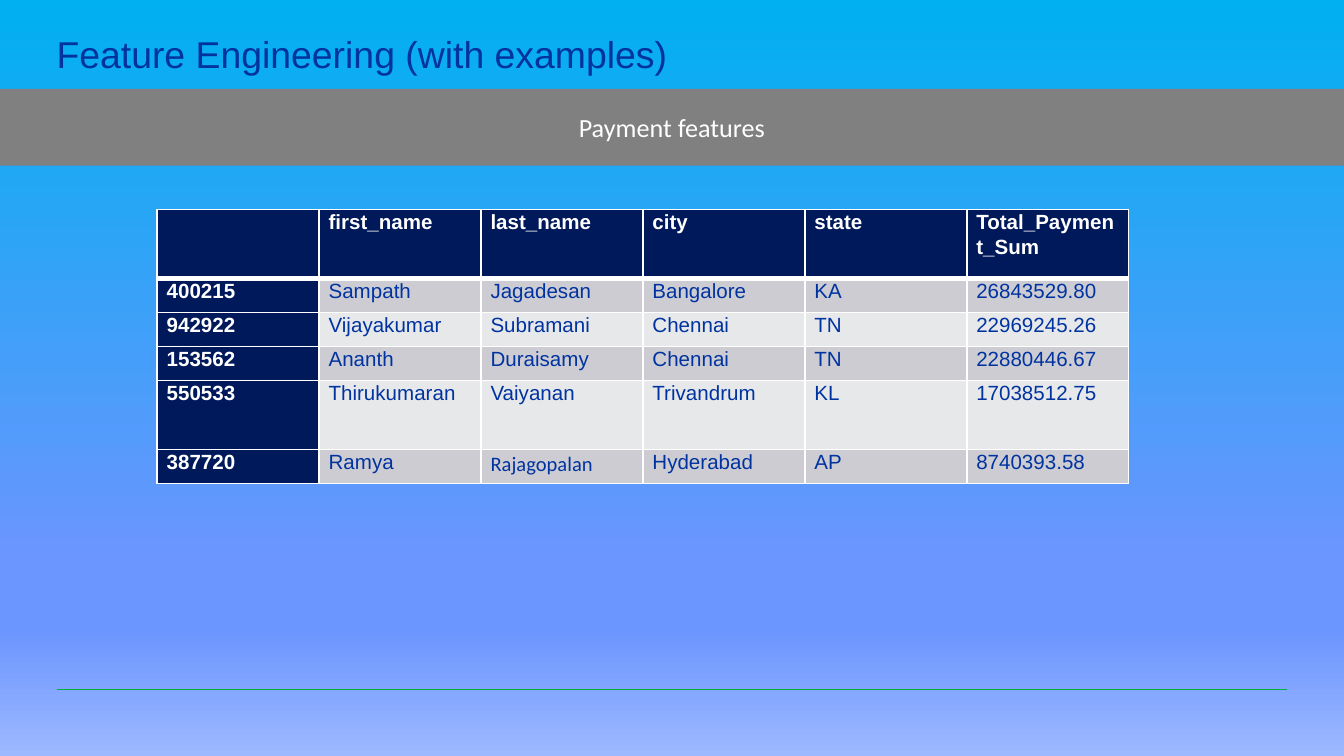
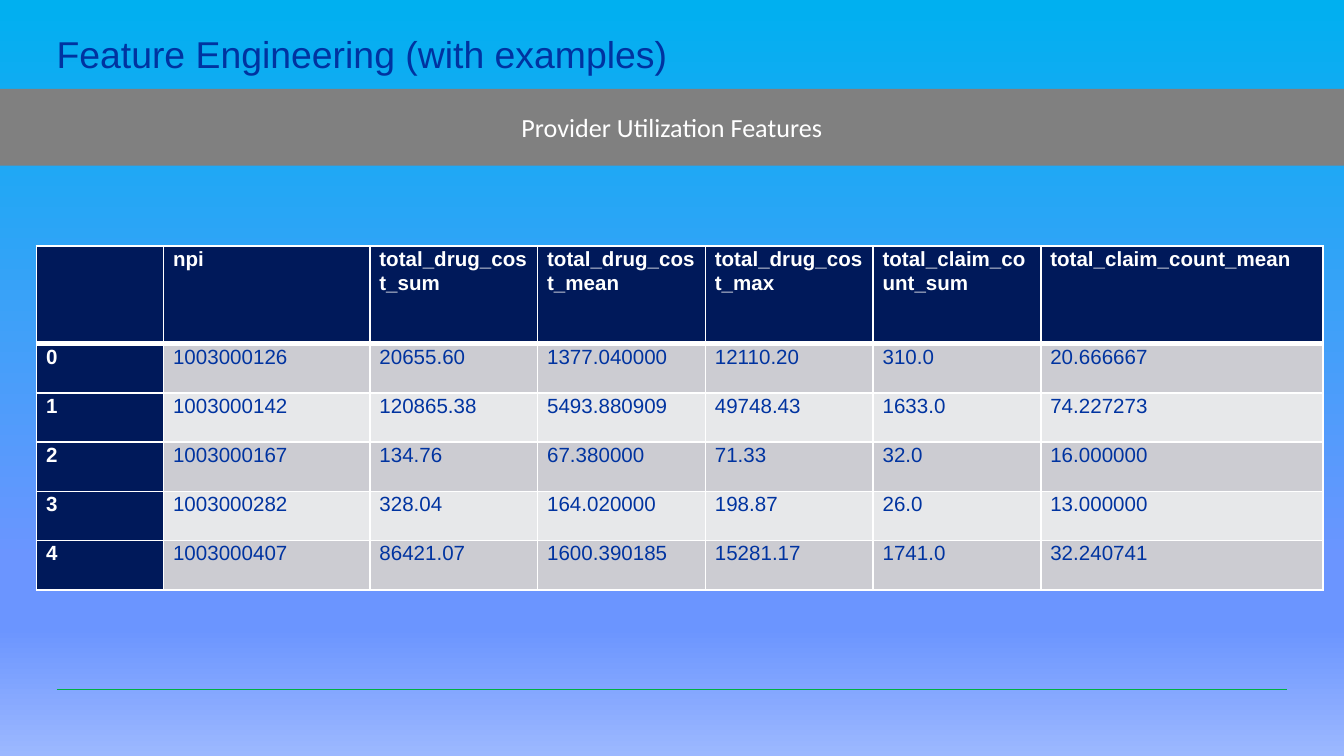
from lxml.etree import SubElement as Sub
from pptx import Presentation
from pptx.dml.color import RGBColor
from pptx.enum.shapes import MSO_CONNECTOR as Link, MSO_SHAPE as Form
from pptx.enum.text import MSO_ANCHOR as Anchor, MSO_AUTO_SIZE as Auto, PP_ALIGN as Align
from pptx.oxml.ns import qn
from pptx.util import Cm, Pt

WIDE, HIGH = 25.4, 14.29
EDGE = 1.07
WHITE, BLUE, NAVY = "FFFFFF", "0033A0", "00195A"
GREY, GREEN = "808080", "00B140"
BANDS = ("CCCCD2", "E7E8EA")
SKY = ((0, "00B0F0"), (74, "6B95FF"), (83, "6B95FF"), (100, "9CB8FF"))

TITLE = dict(name="Arial", size=Pt(20), bold=False)
LABEL = dict(name="Calibri", size=Pt(14), bold=False)
HEAD = dict(name="Arial", size=Pt(11), bold=True)
BODY = dict(HEAD, bold=False)

BARE = dict(margin_left=0, margin_top=0, margin_right=0, margin_bottom=0)
CELL = dict(BARE, margin_left=Cm(0.18), margin_right=Cm(0.18))

PAYMENTS = (
    ("", "first_name", "last_name", "city", "state", "Total_Payment_Sum"),
    ("400215", "Sampath", "Jagadesan", "Bangalore", "KA", "26843529.80"),
    ("942922", "Vijayakumar", "Subramani", "Chennai", "TN", "22969245.26"),
    ("153562", "Ananth", "Duraisamy", "Chennai", "TN", "22880446.67"),
    ("550533", "Thirukumaran", "Vaiyanan", "Trivandrum", "KL", "17038512.75"),
    ("387720", "Ramya", "Rajagopalan", "Hyderabad", "AP", "8740393.58"),
)
USAGE = (
    ("", "npi", "total_drug_cost_sum", "total_drug_cost_mean",
     "total_drug_cost_max", "total_claim_count_sum", "total_claim_count_mean"),
    ("0", "1003000126", "20655.60", "1377.040000", "12110.20", "310.0", "20.666667"),
    ("1", "1003000142", "120865.38", "5493.880909", "49748.43", "1633.0", "74.227273"),
    ("2", "1003000167", "134.76", "67.380000", "71.33", "32.0", "16.000000"),
    ("3", "1003000282", "328.04", "164.020000", "198.87", "26.0", "13.000000"),
    ("4", "1003000407", "86421.07", "1600.390185", "15281.17", "1741.0", "32.240741"),
)


def color(code):
    return RGBColor.from_string(code)


def apply(item, style):
    for key, value in style.items():
        setattr(item, key, value)


def paint(item, code):
    item.fill.solid()
    item.fill.fore_color.rgb = color(code)


def border(cell, sides):
    """Draw white cell edges; sides maps L, R, T, B to widths in points."""
    props = cell._tc.get_or_add_tcPr()
    for side, width in sides.items():
        line = Sub(props, qn(f"a:ln{side}"), w=str(Pt(width)))
        fill = Sub(line, qn("a:solidFill"))
        Sub(fill, qn("a:srgbClr"), val=WHITE)


class Deck:
    def __init__(self):
        self.prs = Presentation()
        apply(self.prs, dict(slide_width=Cm(WIDE), slide_height=Cm(HIGH)))
        self.slide = None

    def page(self, title, label):
        """Start a slide with the shared backdrop, rule, band and title."""
        self.slide = self.prs.slides.add_slide(self.prs.slide_layouts[6])
        self.sky()
        self.rule(13.03)
        self.band(label)
        self.title(title)

    def sky(self):
        fill = self.slide.background.fill
        fill.gradient()
        fill.gradient_angle = 270
        stops = next(self.slide.element.iter(qn("a:gsLst")))
        for old in list(stops):
            stops.remove(old)
        for pos, code in SKY:
            stop = Sub(stops, qn("a:gs"), pos=str(pos * 1000))
            Sub(stop, qn("a:srgbClr"), val=code)

    def rule(self, top):
        line = self.slide.shapes.add_connector(
            Link.STRAIGHT, Cm(EDGE), Cm(top), Cm(WIDE - EDGE), Cm(top))
        line.line.color.rgb = color(GREEN)
        line.line.width = Pt(0.5)
        Sub(line.element.spPr, qn("a:effectLst"))

    def band(self, text):
        band = self.slide.shapes.add_shape(
            Form.ROUNDED_RECTANGLE, 0, Cm(1.68), Cm(WIDE), Cm(1.45))
        band.adjustments[0] = 0
        band.shadow.inherit = False
        band.line.fill.background()
        paint(band, GREY)
        band.text_frame.vertical_anchor = Anchor.MIDDLE
        self.words(band.text_frame, text, LABEL, WHITE, alignment=Align.CENTER)

    def title(self, text):
        box = self.slide.shapes.add_textbox(
            Cm(EDGE), Cm(0.69), Cm(WIDE - 2 * EDGE), Cm(0.77))
        frame = box.text_frame
        apply(frame, dict(BARE, word_wrap=True, auto_size=Auto.SHAPE_TO_FIT_TEXT))
        self.words(frame, text, TITLE, BLUE, line_spacing=0.9)

    def words(self, frame, text, font, code, **layout):
        para = frame.paragraphs[0]
        apply(para, layout)
        run = para.add_run()
        run.text = text
        apply(run.font, font)
        run.font.color.rgb = color(code)

    def table(self, rows, left, top, widths, heights, fonts=None):
        """Add a table; fonts maps a cell text to its own font name."""
        grid = self.slide.shapes.add_table(
            len(rows), len(widths), Cm(left), Cm(top),
            Cm(sum(widths)), Cm(sum(heights))).table
        grid.first_col = True
        for col, width in zip(grid.columns, widths):
            col.width = Cm(width)
        for r, (row, height) in enumerate(zip(rows, heights)):
            grid.rows[r].height = Cm(height)
            for c, text in enumerate(row):
                cell = grid.cell(r, c)
                head = r == 0 or c == 0
                apply(cell, CELL)
                # The heavy line under the header serves as the first row's top
                tops = {"T": 1} if r != 1 else {}
                border(cell, {"L": 1, "R": 1, **tops, "B": 1 if r else 3})
                paint(cell, NAVY if head else BANDS[(r - 1) % 2])
                if text:
                    font = dict(HEAD if head else BODY)
                    font["name"] = (fonts or {}).get(text, font["name"])
                    self.words(cell.text_frame, text, font,
                               WHITE if head else BLUE, line_spacing=1.07)


def main():
    deck = Deck()
    title = "Feature Engineering (with examples)"
    deck.page(title, "Payment features")
    deck.table(PAYMENTS, 2.97, 3.96, [3.06] * 6,
               [1.31, 0.64, 0.64, 0.64, 1.31, 0.64], {"Rajagopalan": "Calibri"})
    deck.page(title, "Provider Utilization Features")
    deck.table(USAGE, 0.69, 4.65, [2.4, 3.9] + [3.17] * 4 + [5.33],
               [1.85] + [0.93] * 5)
    deck.prs.save("out.pptx")


if __name__ == "__main__":
    main()
